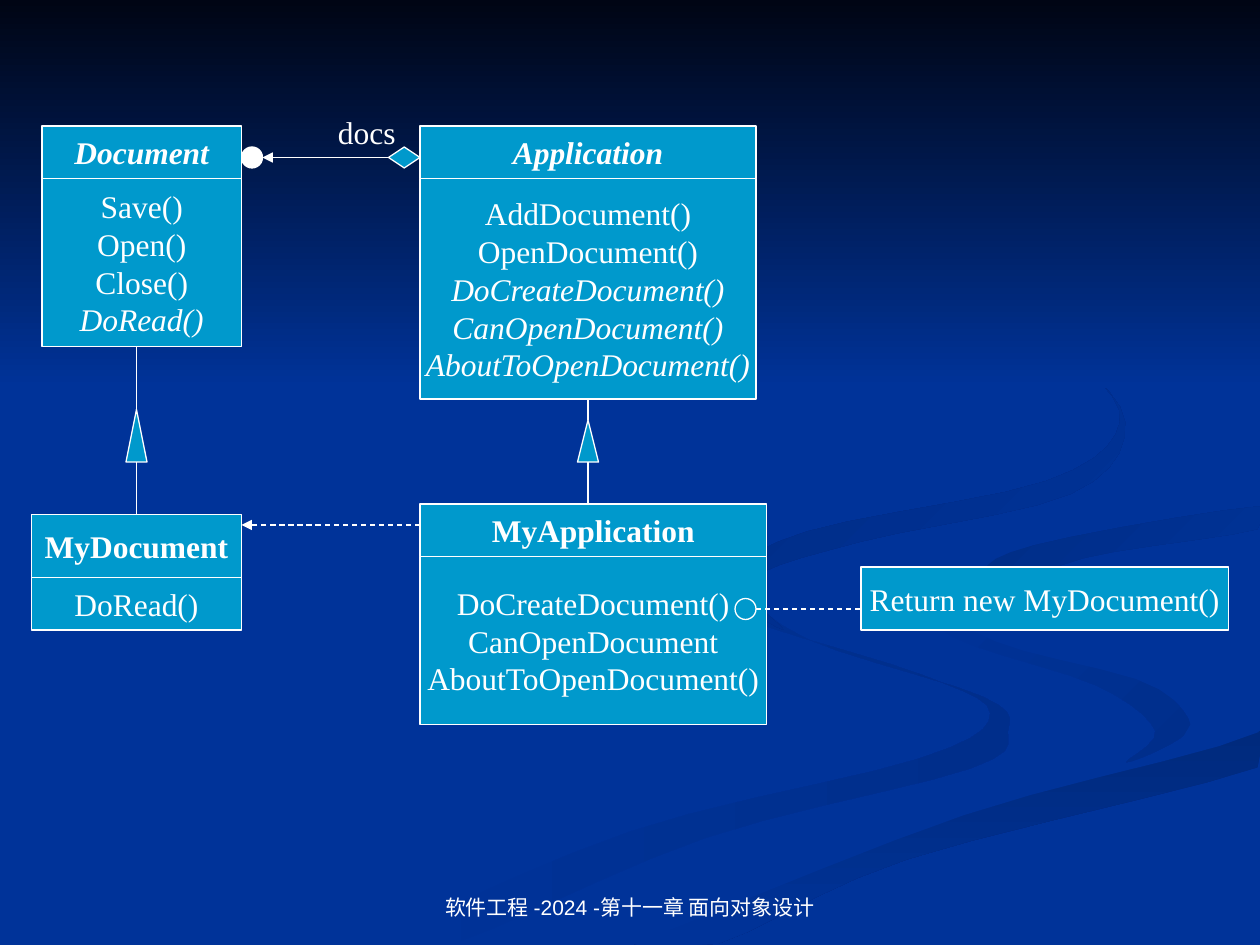
"""Build a slide with a UML class diagram of documents and applications."""
from lxml import etree
from pptx import Presentation
from pptx.dml.color import RGBColor
from pptx.enum.dml import MSO_LINE
from pptx.enum.shapes import MSO_CONNECTOR, MSO_SHAPE
from pptx.enum.text import MSO_ANCHOR, MSO_AUTO_SIZE, PP_ALIGN
from pptx.oxml.ns import qn
from pptx.util import Inches, Pt

RECTANGLE, DIAMOND = MSO_SHAPE.RECTANGLE, MSO_SHAPE.DIAMOND
CIRCLE, TRIANGLE = MSO_SHAPE.OVAL, MSO_SHAPE.ISOSCELES_TRIANGLE
STRAIGHT, DASH = MSO_CONNECTOR.STRAIGHT, MSO_LINE.DASH
CENTER, LEFT = PP_ALIGN.CENTER, PP_ALIGN.LEFT
MIDDLE, BOTTOM, TOP = MSO_ANCHOR.MIDDLE, MSO_ANCHOR.BOTTOM, MSO_ANCHOR.TOP
FIT, FIXED = MSO_AUTO_SIZE.SHAPE_TO_FIT_TEXT, MSO_AUTO_SIZE.NONE
SERIF, SANS = "Times New Roman", "Arial"
WHITE, CYAN, NAVY = "FFFFFF", "0099CC", "003399"
CELL = Inches(1) / 12
CURVE_STEPS = 5


def paint(shape, colours, angle=0):
    """Fill a shape with one colour or with a gradient of two."""
    shape.shadow.inherit = False
    if len(colours) == 1:
        shape.fill.solid()
        shape.fill.fore_color.rgb = RGBColor.from_string(colours[0])
        return
    shape.fill.gradient()
    shape.fill.gradient_angle = angle
    for stop, colour in zip(shape.fill.gradient_stops, colours):
        stop.color.rgb = RGBColor.from_string(colour)


def write(frame, lines, size, font_name, alignment, anchor):
    """Write one paragraph per line, each given as text and style letters."""
    frame.vertical_anchor = anchor
    for index, (text, style) in enumerate(lines):
        paragraph = frame.add_paragraph() if index else frame.paragraphs[0]
        paragraph.alignment = alignment
        run = paragraph.add_run()
        run.text = text
        run.font.name = font_name
        run.font.size = Pt(size)
        run.font.bold = "b" in style
        run.font.italic = "i" in style
        run.font.color.rgb = RGBColor.from_string(WHITE)


presentation = Presentation()
presentation.slide_width, presentation.slide_height = Inches(10), Inches(7.5)
slide = presentation.slides.add_slide(presentation.slide_layouts[6])
slide.background.fill.solid()
slide.background.fill.fore_color.rgb = RGBColor.from_string(NAVY)

ribbons = [
    ([NAVY, "002E8B"], 0, [
        (7.8, 5.53), (6.4, 5.07), (5.75, 4.6), (5.9, 4.9), (7.3, 5.35), (7.86, 5.66),
        (7.3, 6.02), (5, 6.6), (3, 7.49), (3.6, 7.49), (5.6, 6.65), (7.7, 6.1), (8, 5.8)]),
    ([NAVY, "002E8B"], 315, [
        (9.43, 5.7), (9.05, 5.4), (7.9, 5.09), (7.24, 4.64), (7.55, 5.05),
        (8.7, 5.44), (9.17, 5.8), (8.94, 6.05), (9.35, 5.87)]),
    (["002A7D", NAVY], 270, [
        (5.03, 7.49), (5.7, 7.49), (7.2, 6.82), (9.98, 6.09), (9.98, 5.81), (7.65, 6.47), (5.7, 7.19)]),
    ([NAVY], 0, [
        (7.25, 4.64), (7.9, 5.09), (9.2, 5.47), (9.2, 5.97), (6.6, 6.68), (4.77, 7.49),
        (5.03, 7.49), (7.65, 6.47), (9.99, 5.81), (9.99, 5.38), (8.2, 4.92),
        (7.9, 4.47), (9.99, 4.02), (9.99, 3.87), (7.9, 4.22)]),
    (["002D86", NAVY], 315, [
        (7.81, 4.6), (8.26, 4.96), (8.05, 4.72), (8.6, 4.43), (9.98, 4.2), (9.98, 4.02), (8.2, 4.33)]),
    (["002B82", NAVY], 315, [
        (6.83, 4.3), (8.5, 3.92), (8.93, 3.35), (8.4, 2.75), (7.62, 2.33), (8.5, 2.83),
        (8.89, 3.35), (8.3, 3.82), (6.4, 4.22), (5.77, 4.62), (6.22, 5), (5.96, 4.61)]),
]
for colours, angle, knots in ribbons:
    outline = []
    for index in range(len(knots)):
        around = [knots[(index + shift) % len(knots)] for shift in (-1, 0, 1, 2)]
        for step in range(CURVE_STEPS):
            t = step / CURVE_STEPS
            weights = [-t + 2 * t**2 - t**3, 2 - 5 * t**2 + 3 * t**3,
                       t + 4 * t**2 - 3 * t**3, t**3 - t**2]
            x, y = (sum(w * value for w, value in zip(weights, axis)) / 2 for axis in zip(*around))
            outline.append((Inches(min(x, 10)), Inches(min(y, 7.5))))
    builder = slide.shapes.build_freeform(*outline[0])
    builder.add_line_segments(outline[1:], close=True)
    ribbon = builder.convert_to_shape()
    paint(ribbon, colours, angle)
    ribbon.line.fill.background()

shade = slide.shapes.add_shape(RECTANGLE, 0, 0, Inches(10), Inches(3.08))
paint(shade, ["000514", NAVY], 270)
shade.line.fill.background()

classes = [
    (4, 12, 19, 5, 16, ("Document", "bi"), [
        ("Save()", ""), ("Open()", ""), ("Close()", ""), ("DoRead()", "i")]),
    (40, 12, 32, 5, 21, ("Application", "bi"), [
        ("AddDocument()", ""), ("OpenDocument()", ""), ("DoCreateDocument()", "i"),
        ("CanOpenDocument()", "i"), ("AboutToOpenDocument()", "i")]),
    (3, 49, 20, 6, 5, ("MyDocument", "b"), [("DoRead()", "")]),
    (40, 48, 33, 5, 16, ("MyApplication", "b"), [
        ("DoCreateDocument()", ""), ("CanOpenDocument", ""), ("AboutToOpenDocument()", "")]),
]
nodes = [
    (RECTANGLE, 82, 54, 35, 6, CYAN, [("Return new MyDocument()", "")]),
    (DIAMOND, 37, 14, 3, 2, CYAN, []),
    (CIRCLE, 23, 14, 2, 2, WHITE, []),
]
for left, top, width, title_height, body_height, title, methods in classes:
    nodes.append((RECTANGLE, left, top + title_height, width, body_height, CYAN, methods))
    nodes.append((RECTANGLE, left, top, width, title_height, CYAN, [title]))
nodes.append((CIRCLE, 70, 57, 2, 2, CYAN, []))

links = [
    (37, 15, 25, 15, False, True),
    (40, 50, 23, 50, True, True),
    (72, 58, 82, 58, True, False),
]
inheritances = [(13, 33, 39, 44, 49), (56, 38, 40, 44, 48)]
for center, parent, tip, base, child in inheritances:
    nodes.append((TRIANGLE, center - 1, tip, 2, base - tip, CYAN, []))
    links.append((center, parent, center, tip, False, False))
    links.append((center, base, center, child, False, False))

for kind, *cells, colour, lines in nodes:
    node = slide.shapes.add_shape(kind, *(round(cell * CELL) for cell in cells))
    paint(node, [colour])
    node.line.color.rgb = RGBColor.from_string(WHITE)
    node.line.width = Pt(0.75)
    node.text_frame.word_wrap = False
    write(node.text_frame, lines, 18, SERIF, CENTER, MIDDLE)

for *cells, dashed, arrow in links:
    link = slide.shapes.add_connector(STRAIGHT, *(round(cell * CELL) for cell in cells))
    link.line.color.rgb = RGBColor.from_string(WHITE)
    link.line.width = Pt(0.75)
    if dashed:
        link.line.dash_style = DASH
    outline = link._element.spPr.find(qn("a:ln"))
    if arrow:
        etree.SubElement(outline, qn("a:tailEnd"), type="triangle")
    etree.SubElement(link._element.spPr, qn("a:effectLst"))

labels = [
    ("docs", 31, 10.2, 8, 4.8, 18, SERIF, LEFT, TOP, False),
    ("软件工程 -2024 -第十一章 面向对象设计", 41, 82, 38, 6.2, 12, SANS, CENTER, BOTTOM, True),
]
for text, *cells, size, font_name, alignment, anchor, wraps in labels:
    label = slide.shapes.add_textbox(*(round(cell * CELL) for cell in cells))
    label.text_frame.word_wrap = wraps
    label.text_frame.auto_size = FIXED if wraps else FIT
    write(label.text_frame, [(text, "")], size, font_name, alignment, anchor)

presentation.save("out.pptx")
